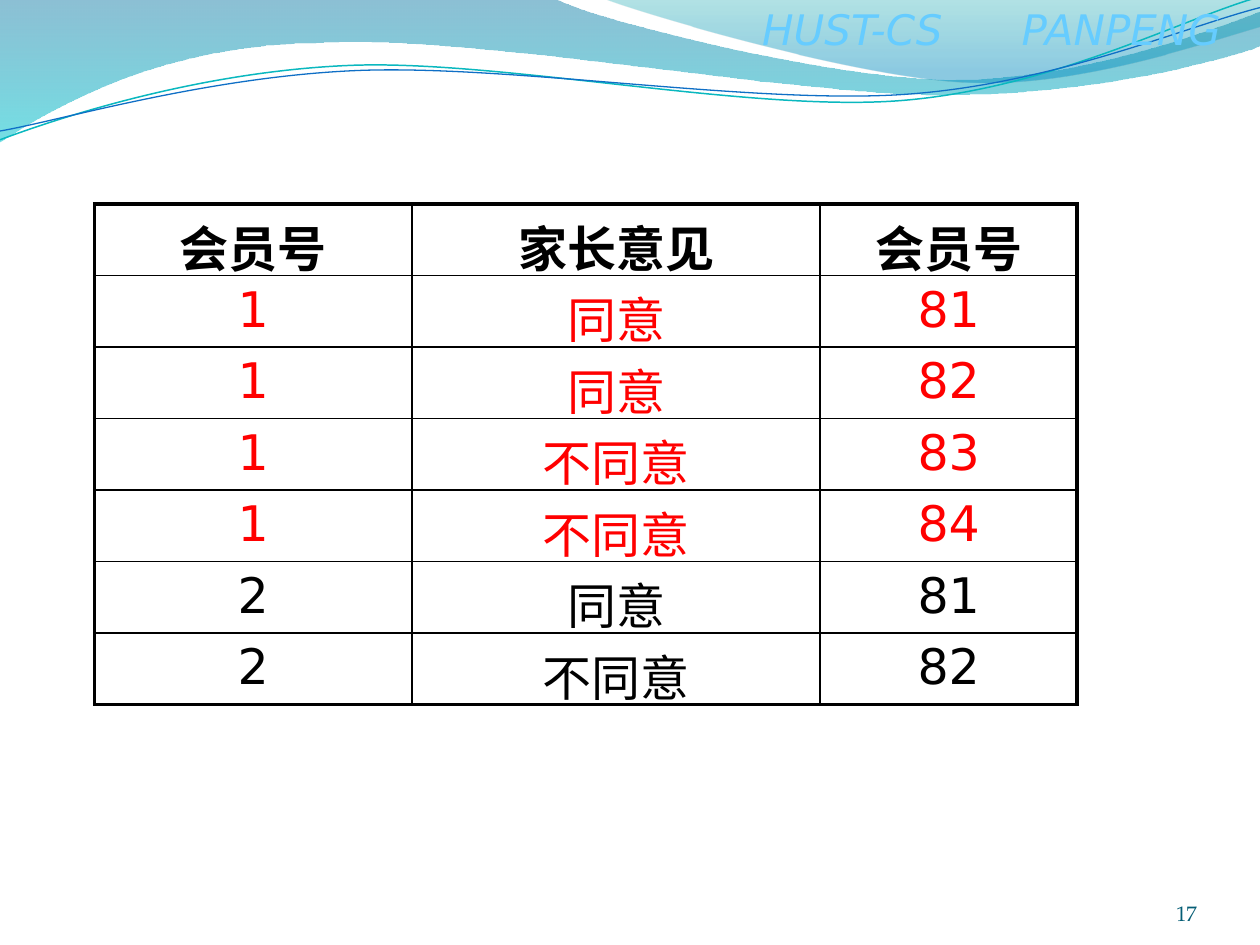
import math

import pptx
import pptx.dml.color
import pptx.enum.text
import pptx.oxml
import pptx.oxml.ns
import pptx.util
from lxml import etree
from pptx.oxml.ns import qn
from pptx.util import Inches

COLORS = {
    "deep_blue": "0074A1", "cyan": "00C6CF", "teal": "00A1A9", "blue": "008BBF",
    "teal_line": "0AB8BF", "blue_line": "0F6FC6", "header": "66CCFF",
    "number": "045D75", "red": "FF0000", "black": "000000",
}
SANS = "DejaVu Sans"
SERIF = "TeX Gyre Pagella"
ALIGN = pptx.enum.text.PP_ALIGN
TILT = 357.3

# Each wave is a list of steps: two numbers go straight, six make a Bezier curve.
BACK_WAVE = [
    (0, -0.01), (4.4, -0.01), (4.76, 0.17, 6.64, 0.63, 7.58, 0.63),
    (8.53, 0.63, 9.58, 0.26, 10, 0.09), (10.01, 0.36),
    (9.83, 0.44, 8.7, 0.76, 7.46, 0.75), (6.22, 0.75, 3.82, 0.28, 2.57, 0.34),
    (1.29, 0.35, 0.46, 0.83, -0.01, 1.13), (0, -0.01),
]
FRONT_WAVE = [
    (4.79, -0.01), (5.09, 0.11, 6.82, 0.62, 7.69, 0.65),
    (8.56, 0.69, 9.61, 0.32, 10, 0.21), (10, 0), (4.79, -0.01),
]
TEAL_CURVE = [
    (0, 1.11), (0.48, 0.93, 1.58, 0.57, 2.77, 0.52),
    (3.95, 0.47, 5.93, 0.89, 7.13, 0.8), (8.33, 0.71, 9.38, 0.15, 9.98, -0.02),
]
BLUE_CURVE = [
    (0, 1.04), (0.47, 0.96, 1.64, 0.61, 2.83, 0.56),
    (4.03, 0.51, 5.97, 0.83, 7.17, 0.75), (8.36, 0.67, 9.41, 0.21, 10, 0.06),
]

HEADINGS = ["会员号", "家长意见", "会员号"]
OPINIONS = [
    ("1", "同意", "81"), ("1", "同意", "82"), ("1", "不同意", "83"),
    ("1", "不同意", "84"), ("2", "同意", "81"), ("2", "不同意", "82"),
]


def rgb(name):
    return pptx.dml.color.RGBColor.from_string(COLORS[name])


def to_box(x, y, box, rotation):
    """Give a slide point in the unrotated frame of a box, in EMU."""
    left, top, width, height = box
    dx, dy = x - left - width / 2, y - top - height / 2
    a = math.radians(-rotation)
    return (Inches(width / 2 + dx * math.cos(a) - dy * math.sin(a)),
            Inches(height / 2 + dx * math.sin(a) + dy * math.cos(a)))


def add_wave(s, steps, box, close, rotation=0):
    """Build a freeform and bend its outline with Bezier curves."""
    ends = [(Inches(step[-2]), Inches(step[-1])) for step in steps]
    builder = s.shapes.build_freeform(*ends[0])
    builder.add_line_segments(ends[1:], close=close)
    sp = builder.convert_to_shape()
    sp.left, sp.top, sp.width, sp.height = map(Inches, box)
    sp.rotation = rotation
    sp.shadow.inherit = False
    outline = sp._element.find(".//" + qn("a:path"))
    for child in list(outline):
        outline.remove(child)
    outline.set("w", str(sp.width))
    outline.set("h", str(sp.height))
    for i, step in enumerate(steps):
        tag = "a:moveTo" if i == 0 else "a:lnTo" if len(step) == 2 else "a:cubicBezTo"
        command = etree.SubElement(outline, qn(tag))
        for point in zip(step[::2], step[1::2]):
            x, y = to_box(*point, box, rotation)
            etree.SubElement(command, qn("a:pt"), x=str(x), y=str(y))
    if close:
        etree.SubElement(outline, qn("a:close"))
    return sp


def add_filled_wave(s, steps, box, stops):
    """Draw a wave shaded from top to bottom; a stop is position, colour, opacity %."""
    sp = add_wave(s, steps, box, True)
    sp.line.fill.background()
    sp.fill.gradient()
    sp.fill.gradient_angle = 270
    for stop, (position, color, opacity) in zip(sp.fill.gradient_stops, stops):
        stop.position = position
        stop.color.rgb = rgb(color)
    clrs = sp._element.spPr.findall(".//" + qn("a:srgbClr"))
    for clr, (position, color, opacity) in zip(clrs, stops):
        etree.SubElement(clr, qn("a:alpha"), val=str(opacity * 1000))


def add_curve(s, steps, box, color, width):
    sp = add_wave(s, steps, box, False, TILT)
    sp.fill.background()
    sp.line.color.rgb = rgb(color)
    sp.line.width = pptx.util.Pt(width)


def style(p, size, font, color, bold=False, italic=False):
    for r in p.runs:
        r.font.size = pptx.util.Pt(size)
        r.font.name = font
        r.font.color.rgb = rgb(color)
        r.font.bold = bold
        r.font.italic = italic


def add_header(s):
    tf = s.shapes.add_textbox(Inches(5.95), Inches(-0.02), Inches(4.05), Inches(0.5)).text_frame
    tf.word_wrap = True
    p = tf.paragraphs[0]
    p.text = "HUST-CS\tPANPENG"
    tabs = etree.SubElement(p._p.get_or_add_pPr(), qn("a:tabLst"))
    etree.SubElement(tabs, qn("a:tab"), pos=str(Inches(2.06)), algn="l")
    style(p, 24, SANS, "header", italic=True)


def add_slide_number(s):
    tf = s.shapes.add_textbox(Inches(8.67), Inches(6.95), Inches(0.83), Inches(0.4)).text_frame
    tf.word_wrap = True
    tf.margin_left = tf.margin_right = tf.margin_top = tf.margin_bottom = 0
    tf.vertical_anchor = pptx.enum.text.MSO_ANCHOR.BOTTOM
    p = tf.paragraphs[0]
    p.text = "17"
    p.alignment = ALIGN.RIGHT
    style(p, 12, SERIF, "number")


def set_borders(cell, outer_sides):
    """Draw heavy lines on the outer sides of the table and thin ones elsewhere."""
    tcPr = cell._tc.get_or_add_tcPr()
    for side in "LRTB":
        width = pptx.util.Pt(2.25 if side in outer_sides else 1)
        tcPr.append(pptx.oxml.parse_xml(
            f'<a:ln{side} {pptx.oxml.ns.nsdecls("a")} w="{width}"><a:solidFill>'
            f'<a:srgbClr val="{COLORS["black"]}"/></a:solidFill></a:ln{side}>'))


def add_opinion_table(s):
    rows = [HEADINGS] + OPINIONS
    widths = [2.52, 3.24, 2.04]
    frame = s.shapes.add_table(len(rows), len(widths), Inches(0.75), Inches(1.62),
                               Inches(sum(widths)), Inches(3.97))
    table = frame.table
    table.first_row = table.horz_banding = False
    for column, width in zip(table.columns, widths):
        column.width = Inches(width)
    for i, row in enumerate(rows):
        color = "red" if row[0] == "1" else "black"
        for j, text in enumerate(row):
            cell = table.cell(i, j)
            edges = {"L": j == 0, "R": j == len(widths) - 1,
                     "T": i == 0, "B": i == len(rows) - 1}
            set_borders(cell, [side for side, outer in edges.items() if outer])
            cell.fill.background()
            p = cell.text_frame.paragraphs[0]
            p.text = text
            p.alignment = ALIGN.CENTER
            style(p, 28, SANS, color, bold=i == 0)


def main():
    prs = pptx.Presentation()
    prs.slide_width, prs.slide_height = Inches(10), Inches(7.5)
    s = prs.slides.add_slide(prs.slide_layouts[6])
    add_filled_wave(s, BACK_WAVE, (-0.01, -0.01, 10.02, 1.14),
                    [(0, "deep_blue", 45), (1, "cyan", 55)])
    add_filled_wave(s, FRONT_WAVE, (4.79, -0.01, 5.21, 0.7),
                    [(0, "teal", 30), (0.8, "blue", 45)])
    add_curve(s, TEAL_CURVE, (-0.02, 0.22, 10.02, 0.71), "teal_line", 0.85)
    add_curve(s, BLUE_CURVE, (-0.02, 0.3, 10.03, 0.58), "blue_line", 0.75)
    add_header(s)
    add_slide_number(s)
    add_opinion_table(s)
    prs.save("out.pptx")


if __name__ == "__main__":
    main()
